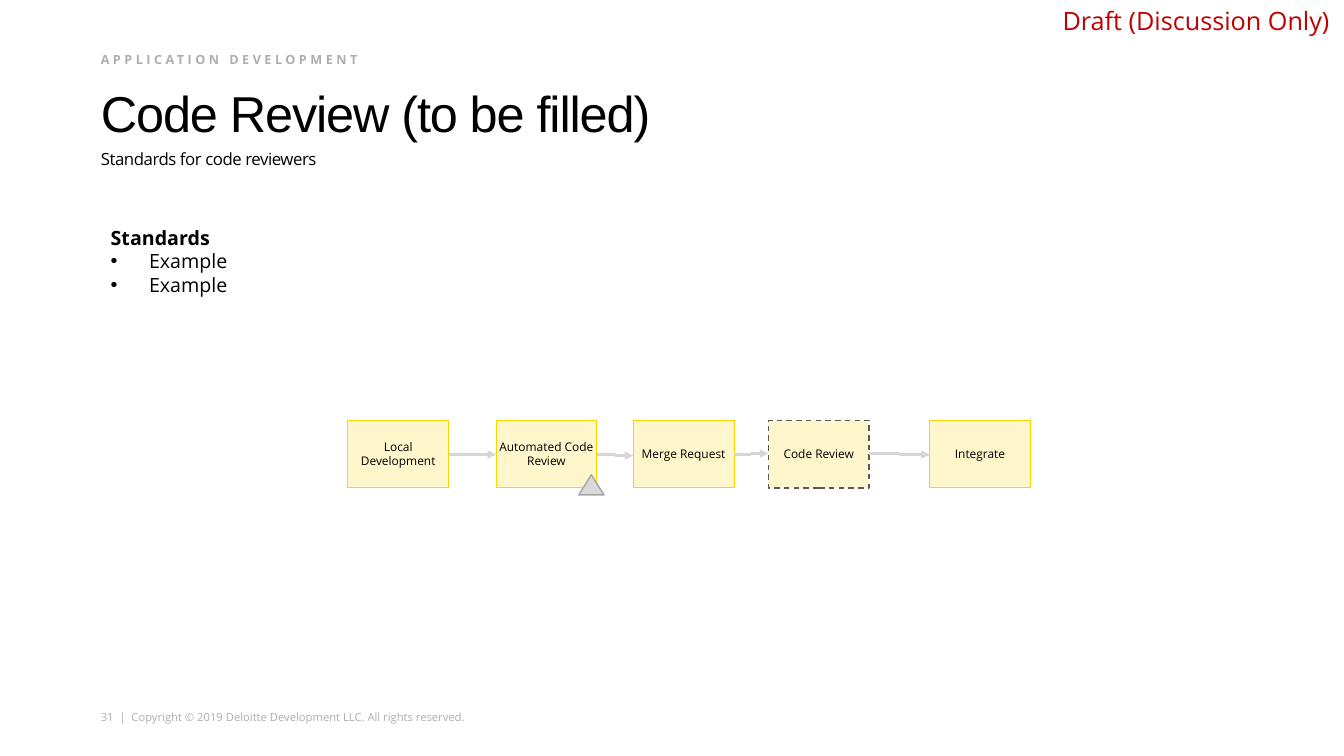
from lxml.etree import SubElement
from pptx import Presentation
from pptx.dml.color import RGBColor
from pptx.enum.dml import MSO_LINE_DASH_STYLE as DASH
from pptx.enum.shapes import MSO_CONNECTOR as CONN, MSO_SHAPE as SHAPE
from pptx.enum.text import MSO_ANCHOR as ANCHOR, MSO_AUTO_SIZE as AUTO, PP_ALIGN as ALIGN
from pptx.oxml.ns import qn
from pptx.util import Inches, Pt

COLS, ROWS = 13.33, 7.5
STEPS = [
    ("Local Development", 3.45),
    ("Automated Code Review", 4.92),
    ("Merge Request", 6.28),
    ("Code Review", 7.62),
    ("Integrate", 9.22),
]
STEP_TOP, STEP_W, STEP_H = 4.17, 1, 0.67
ARROW_ROWS = [(4.51, 4.51), (4.51, 4.52), (4.51, 4.5), (4.5, 4.51)]


def color(value):
    return RGBColor.from_string(value)


class Deck:
    font = "Open Sans"
    black, gray, red = "000000", "AEAEAE", "C00000"
    pale, yellow, dark, arrow_gray = "FFF6CC", "FDD300", "5A5A5A", "D6D6D6"

    def __init__(self):
        self.prs = Presentation()
        self.prs.slide_width = Inches(COLS)
        self.prs.slide_height = Inches(ROWS)
        self.s = self.prs.slides.add_slide(self.prs.slide_layouts[5])

    def box(self, col, row, cols, rows):
        w, h = self.prs.slide_width / COLS, self.prs.slide_height / ROWS
        return int(col * w), int(row * h), int(cols * w), int(rows * h)

    def frame(self, sp, text, margins=(0, 0, 0, 0), anchor=ANCHOR.TOP):
        tf = sp.text_frame
        tf.text = text
        tf.word_wrap = True
        tf.auto_size = AUTO.NONE
        tf.vertical_anchor = anchor
        tf.margin_left, tf.margin_top, tf.margin_right, tf.margin_bottom = map(Inches, margins)
        return tf

    def style(self, p, size, fill=black, bold=False, spacing=0, font=font):
        for r in p.runs:
            r.font.name = font
            r.font.size = Pt(size)
            r.font.bold = bold
            r.font.color.rgb = color(fill)
            if spacing:
                r.font._element.set("spc", str(int(spacing * 100)))

    def title(self, text, place):
        sp = self.s.shapes.title
        sp.left, sp.top, sp.width, sp.height = self.box(*place)
        p = self.frame(sp, text, (0, 0.05, 0, 0), ANCHOR.BOTTOM).paragraphs[0]
        p.alignment = ALIGN.LEFT
        p.line_spacing = 0.8
        self.style(p, 36, spacing=-0.8, font="Arial")

    def text(self, text, place, size, margins=(0, 0, 0, 0), **look):
        sp = self.s.shapes.add_textbox(*self.box(*place))
        tf = self.frame(sp, text, margins)
        for p in tf.paragraphs:
            self.style(p, size, **look)
        return tf

    def bullets(self, heading, items, place):
        tf = self.text("\n".join([heading, *items]), place, 14, (0.1, 0.05, 0.1, 0.05))
        head, *rest = tf.paragraphs
        self.style(head, 14, bold=True)
        for p in rest:
            pPr = p._p.get_or_add_pPr()
            pPr.set("marL", str(Inches(0.38)))
            pPr.set("indent", str(-Inches(0.38)))
            SubElement(pPr, qn("a:buFont")).set("typeface", "Arial")
            SubElement(pPr, qn("a:buChar")).set("char", "•")

    def shape(self, kind, place, fill, line, width, dash=None):
        sp = self.s.shapes.add_shape(kind, *self.box(*place))
        sp.shadow.inherit = False
        sp.fill.solid()
        sp.fill.fore_color.rgb = color(fill)
        sp.line.color.rgb = color(line)
        sp.line.width = Pt(width)
        if dash:
            sp.line.dash_style = dash
        return sp

    def step(self, text, col, current=False):
        outline = (self.dark, 1, DASH.DASH) if current else (self.yellow, 0.5)
        sp = self.shape(SHAPE.RECTANGLE, (col, STEP_TOP, STEP_W, STEP_H), self.pale, *outline)
        p = self.frame(sp, text, anchor=ANCHOR.MIDDLE).paragraphs[0]
        p.alignment = ALIGN.CENTER
        self.style(p, 8.5)

    def arrow(self, col, row, end_col, end_row):
        c = self.s.shapes.add_connector(CONN.ELBOW, *self.box(col, row, end_col, end_row))
        c.line.color.rgb = color(self.arrow_gray)
        c.line.width = Pt(1.75)
        SubElement(c.line._get_or_add_ln(), qn("a:tailEnd")).set("type", "triangle")
        SubElement(c._element.spPr, qn("a:effectLst"))


def main():
    d = Deck()
    d.text("31  |  Copyright © 2019 Deloitte Development LLC. All rights reserved.",
           (1, 7.05, 4, 0.13), 8, fill=d.gray)
    d.text("Draft (Discussion Only)", (10.44, 0, 2.9, 0.4), 18,
           (0.1, 0.05, 0.1, 0.05), fill=d.red)
    d.title("Code Review (to be filled)", (1, 0.76, 11.33, 0.65))
    d.text("Standards for code reviewers", (1, 1.48, 11.33, 0.52), 12, spacing=-0.3)
    d.text("APPLICATION DEVELOPMENT", (1, 0.51, 3.67, 0.22), 9,
           fill=d.gray, bold=True, spacing=2.5)
    for name, col in STEPS:
        d.step(name, col, current=name == "Code Review")
    d.shape(SHAPE.ISOSCELES_TRIANGLE, (5.74, 4.71, 0.25, 0.2), "D9D9D9", "A6A6A6", 1)
    for (_, col), (_, end), (row, end_row) in zip(STEPS, STEPS[1:], ARROW_ROWS):
        d.arrow(col + STEP_W, row, end, end_row)
    d.bullets("Standards", ["Example", "Example"], (1, 2.19, 5.53, 0.81))
    d.prs.save("out.pptx")


if __name__ == "__main__":
    main()
